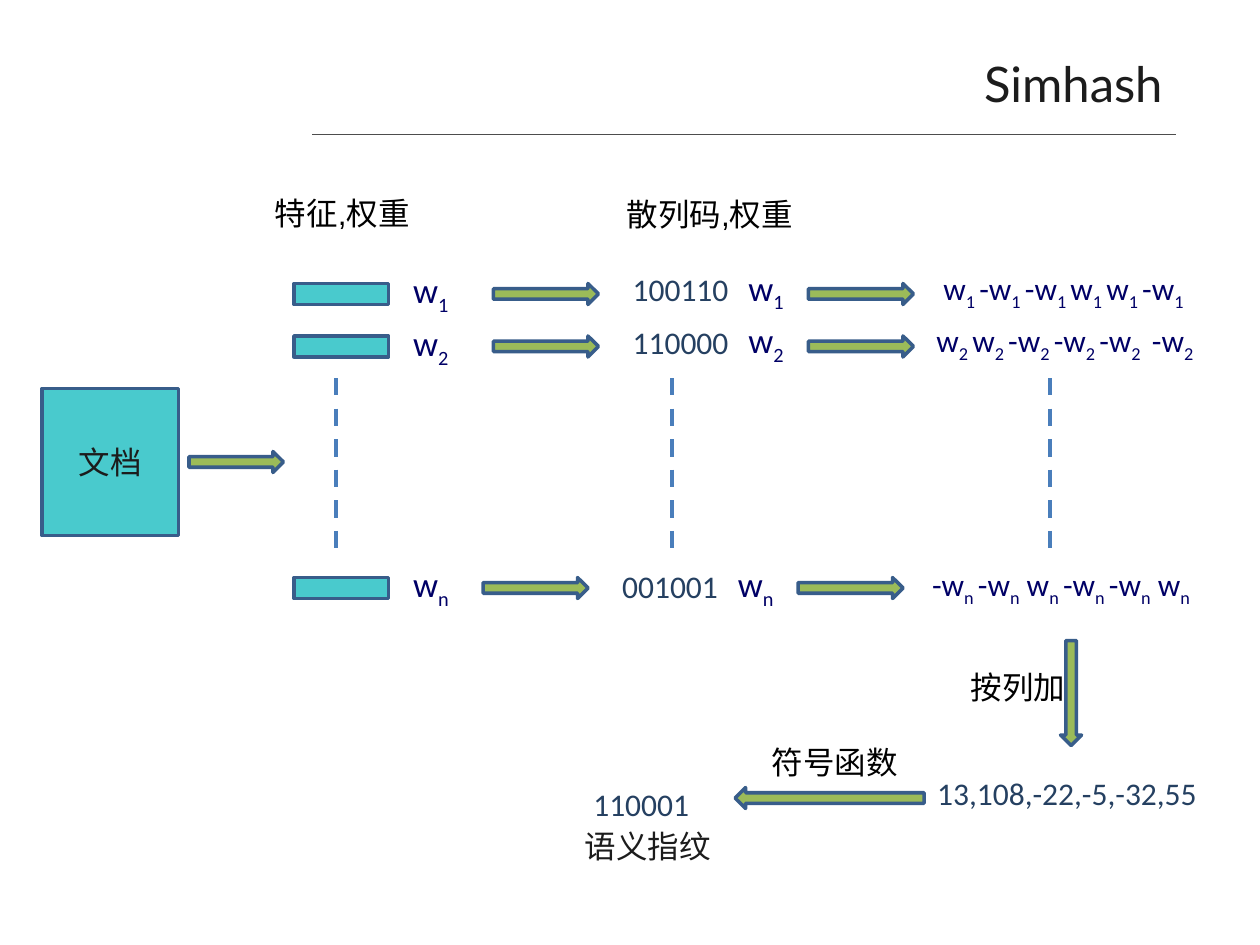
from lxml.etree import SubElement
from pptx import Presentation
from pptx.dml.color import RGBColor
from pptx.enum.dml import MSO_LINE
from pptx.enum.shapes import MSO_CONNECTOR, MSO_SHAPE
from pptx.enum.text import MSO_ANCHOR, MSO_AUTO_SIZE, PP_ALIGN
from pptx.oxml.ns import qn
from pptx.util import Pt

TEAL = RGBColor(0x49, 0xCA, 0xCD)
GREEN = RGBColor(0x9B, 0xBB, 0x59)
OUTLINE = RGBColor(0x38, 0x5D, 0x8A)
DASH_BLUE = RGBColor(0x4A, 0x7E, 0xBB)
NAVY = RGBColor(0x00, 0x00, 0x66)
SLATE = RGBColor(0x25, 0x40, 0x61)
INK = RGBColor(0x1C, 0x1C, 0x1C)
BLACK = RGBColor(0x00, 0x00, 0x00)
GREY = RGBColor(0x4D, 0x4D, 0x4D)

TITLE = "Simhash"
DOCUMENT = "文档"

ROWS = [
    ("1", "100110", "w{1 }-w{1 }-w{1 }w{1 }w{1 }-w{1}", 162, 0, 0, 532),
    ("2", "110000", "w{2 }w{2 }-w{2 }-w{2 }-w{2 } -w{2}", 192, 0, 0, 528),
    ("n", "001001", "-w{n }-w{n} w{n }-w{n }-w{n} w{n}", 330, -6, 1.5, 525.5),
]
LABELS = [
    ("特征,权重", 150, 107.5, 100, "Arial", BLACK),
    ("散列码,权重", 351, 108, 118, "Arial", BLACK),
    ("按列加", 547.5, 378, 68.5, "Arial", BLACK),
    ("13,108,-22,-5,-32,55", 528.5, 439, 163, "Calibri", SLATE),
    ("符号函数", 434, 421, 86.5, "Arial", BLACK),
    ("110001", 332, 445, 69, "Calibri", SLATE),
    ("语义指纹", 327, 469, 86.5, "Calibri", INK),
]
ARROWS = [(108, 258, 54, 0), (582, 390, 60, 90), (420, 450, 108, 180)]
ELLIPSIS_LINES = [192, 384, 600]
BAR_HEIGHT = 12


def format_span(span, size, font, color):
    span.font.size = Pt(size)
    span.font.name = font
    span.font.color.rgb = color


def add_block(page, kind, left, top, width, height, fill):
    block = page.shapes.add_shape(kind, Pt(left), Pt(top), Pt(width), Pt(height))
    block.shadow.inherit = False
    block.fill.solid()
    block.fill.fore_color.rgb = fill
    block.line.color.rgb = OUTLINE
    block.line.width = Pt(2)
    return block


def add_arrow(page, left, top, width, rotation=0):
    arrow = add_block(page, MSO_SHAPE.RIGHT_ARROW, left, top, width, BAR_HEIGHT, GREEN)
    arrow.rotation = rotation


def add_line(page, x1, y1, x2, y2, color, width):
    line = page.shapes.add_connector(MSO_CONNECTOR.STRAIGHT, Pt(x1), Pt(y1), Pt(x2), Pt(y2))
    line.line.color.rgb = color
    line.line.width = Pt(width)
    SubElement(line._element.spPr, qn("a:effectLst"))
    return line


def add_text(page, text, left, top, width, size, font, color, height=29, wrap=False):
    box = page.shapes.add_textbox(Pt(left), Pt(top), Pt(width), Pt(height))
    box.text_frame.word_wrap = wrap
    box.text_frame.auto_size = MSO_AUTO_SIZE.SHAPE_TO_FIT_TEXT
    para = box.text_frame.paragraphs[0]
    for index, part in enumerate(text.replace("{", "}").split("}")):
        if part:
            span = para.add_run()
            span.text = part
            format_span(span, size, font, color)
            if index % 2:
                span.font._element.set("baseline", "-25000")


def add_title(page):
    title = page.shapes.title
    title.left, title.top, title.width, title.height = Pt(49.5), Pt(25), Pt(622), Pt(45)
    title.text_frame.text = TITLE
    title.text_frame.vertical_anchor = MSO_ANCHOR.MIDDLE
    para = title.text_frame.paragraphs[0]
    para.alignment = PP_ALIGN.RIGHT
    format_span(para.runs[0], 28, "Lato", INK)
    add_line(page, 178.5, 77, 672, 77, GREY, 0.5)


def add_document(page):
    block = add_block(page, MSO_SHAPE.RECTANGLE, 24, 222, 78, 84, TEAL)
    block.text_frame.text = DOCUMENT
    block.text_frame.vertical_anchor = MSO_ANCHOR.MIDDLE
    para = block.text_frame.paragraphs[0]
    para.alignment = PP_ALIGN.CENTER
    format_span(para.runs[0], 18, "Arial", INK)


def add_weight(page, subscript, left, top):
    weight = "w{" + subscript + "}"
    add_text(page, weight, left, top, 40, 20, "Calibri", NAVY, 34.5, True)


def add_row(page, subscript, code, signed, top, shift, drop, sum_left):
    add_block(page, MSO_SHAPE.RECTANGLE, 168, top, 54, BAR_HEIGHT, TEAL)
    add_weight(page, subscript, 229, top - 12)
    add_arrow(page, 282 + shift, top, 60)
    add_text(page, code, 354.5 + shift, top - 11 + drop, 69, 18, "Calibri", SLATE)
    add_weight(page, subscript, 420.5 + shift, top - 13.5 + drop)
    add_arrow(page, 462 + shift, top, 60)
    add_text(page, signed, sum_left, top - 12 + drop, 168, 18, "Calibri", NAVY, 31.5, True)


def main():
    deck = Presentation()
    deck.slide_width, deck.slide_height = Pt(720), Pt(540)
    page = deck.slides.add_slide(deck.slide_layouts[5])
    add_title(page)
    add_document(page)
    for row in ROWS:
        add_row(page, *row)
    for arrow in ARROWS:
        add_arrow(page, *arrow)
    for x in ELLIPSIS_LINES:
        line = add_line(page, x, 216, x, 318, DASH_BLUE, 2.5)
        line.line.dash_style = MSO_LINE.DASH
    for text, left, top, width, font, color in LABELS:
        add_text(page, text, left, top, width, 18, font, color)
    deck.save("out.pptx")


if __name__ == "__main__":
    main()
